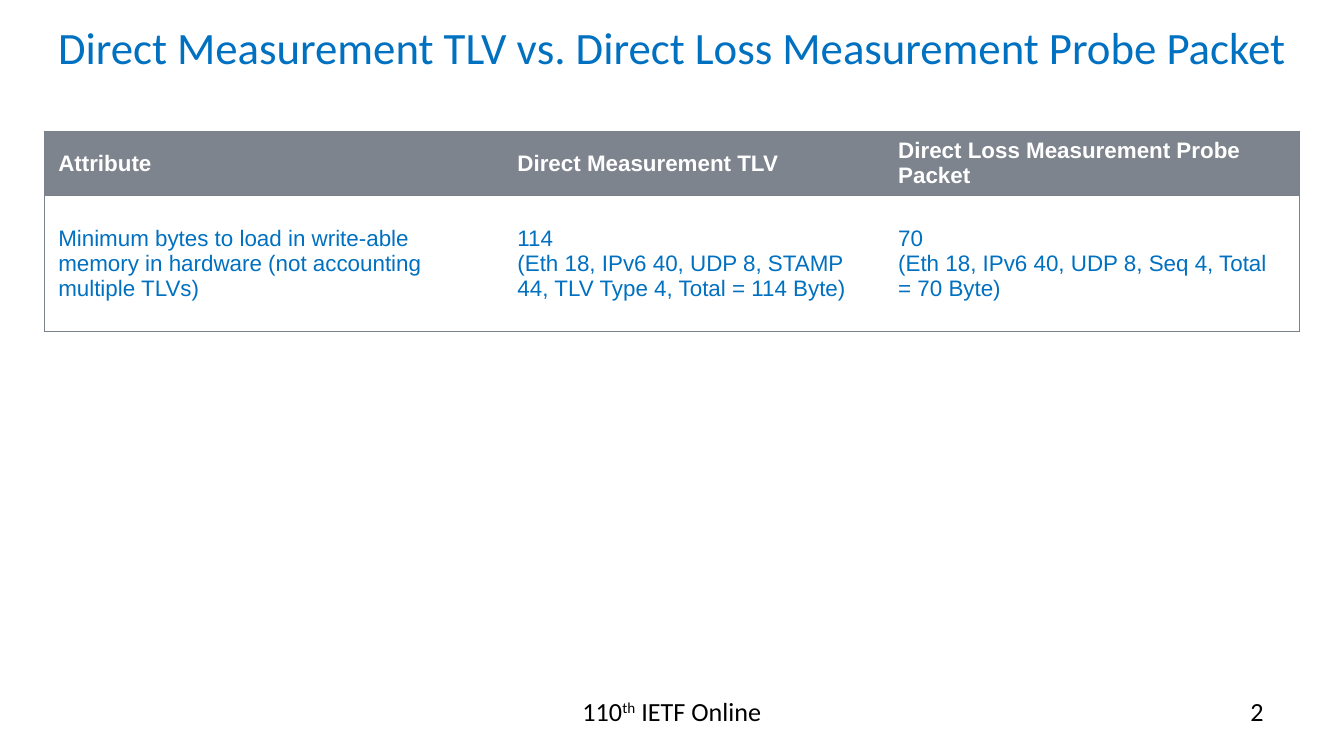
from dataclasses import dataclass

from pptx import Presentation
from pptx.dml.color import RGBColor as Color
from pptx.enum.text import MSO_ANCHOR as Anchor, PP_ALIGN as Align
from pptx.oxml import parse_xml
from pptx.oxml.ns import nsdecls
from pptx.util import Pt


@dataclass(frozen=True)
class Theme:
    """Colours, fonts and type sizes."""
    blue: str = "0070C0"
    black: str = "000000"
    white: str = "FFFFFF"
    head: str = "7E848D"
    edge: str = "7B818A"
    sans: str = "Calibri"
    body: str = "Arial"
    big: float = 24
    mid: float = 14
    small: float = 12


THEME = Theme()
WIDE, HIGH = 720, 405
COLS = (246, 204, 222)
ROWS = (32.4, 73)
CELLS = (
    ("Attribute", "Direct Measurement TLV", "Direct Loss Measurement Probe Packet"),
    (
        "Minimum bytes to load in write-able memory in hardware (not accounting multiple TLVs)",
        "114\n(Eth 18, IPv6 40, UDP 8, STAMP 44, TLV Type 4, Total = 114 Byte)",
        "70\n(Eth 18, IPv6 40, UDP 8, Seq 4, Total = 70 Byte)",
    ),
)


def style(font, name, size, color, bold=False):
    """Apply one set of type values to a font."""
    for key, value in dict(name=name, size=Pt(size), bold=bold).items():
        setattr(font, key, value)
    font.color.rgb = Color.from_string(color)


def add_text(slide, box, runs, size, color, align, anchor=Anchor.TOP):
    """Place one line of text, given as (text, baseline) runs, in a box."""
    frame = slide.shapes.add_textbox(*map(Pt, box)).text_frame
    frame.word_wrap = True
    frame.vertical_anchor = anchor
    para = frame.paragraphs[0]
    para.alignment = align
    for text, base in runs:
        run = para.add_run()
        run.text = text
        style(run.font, THEME.sans, size, color)
        if base:
            run.font._element.set("baseline", str(base * 1000))


def add_edge(cell, side, shown):
    """Draw or clear one border of a cell."""
    fill = (f'<a:solidFill><a:srgbClr val="{THEME.edge}"/></a:solidFill>'
            if shown else "<a:noFill/>")
    cell._tc.get_or_add_tcPr().append(parse_xml(
        f'<a:ln{side} {nsdecls("a")} w="{Pt(0.75)}">{fill}</a:ln{side}>'))


def add_grid(slide, box):
    """Place the comparison table in a box."""
    table = slide.shapes.add_table(len(ROWS), len(COLS), *map(Pt, box)).table
    for col, width in zip(table.columns, COLS):
        col.width = Pt(width)
    for r, texts in enumerate(CELLS):
        table.rows[r].height = Pt(ROWS[r])
        top = r == 0
        for c, text in enumerate(texts):
            cell = table.cell(r, c)
            edges = dict(L=c == 0, R=c == len(COLS) - 1, T=True, B=True)
            for side, shown in edges.items():
                add_edge(cell, side, shown)
            cell.fill.solid()
            cell.fill.fore_color.rgb = Color.from_string(THEME.head if top else THEME.white)
            form = dict(vertical_anchor=Anchor.MIDDLE, margin_top=Pt(2.7),
                        margin_bottom=Pt(2.7), text=text)
            for key, value in form.items():
                setattr(cell, key, value)
            for para in cell.text_frame.paragraphs:
                for run in para.runs:
                    style(run.font, THEME.body, THEME.small,
                          THEME.white if top else THEME.blue, top)


def add_foot(slide, box):
    """Place the event name and page number in a footer box."""
    left, top, width, height = box
    event = (("110", 0), ("th", 30), (" IETF Online", 0))
    add_text(slide, (left + 210, top, 228, height), event,
             THEME.mid, THEME.black, Align.CENTER)
    add_text(slide, (left + width - 168, top, 168, height), (("2", 0),),
             THEME.mid, THEME.black, Align.RIGHT)


def main():
    """Build and save the slide."""
    deck = Presentation()
    deck.slide_width, deck.slide_height = Pt(WIDE), Pt(HIGH)
    slide = deck.slides.add_slide(deck.slide_layouts[6])
    title = "Direct Measurement TLV vs. Direct Loss Measurement Probe Packet"
    add_text(slide, (0, 0, WIDE, 50.4), ((title, 0),), THEME.big, THEME.blue,
             Align.CENTER, Anchor.MIDDLE)
    add_grid(slide, (24, 70.5, sum(COLS), sum(ROWS)))
    add_foot(slide, (36, 369, 648, 28))
    deck.save("out.pptx")


if __name__ == "__main__":
    main()
